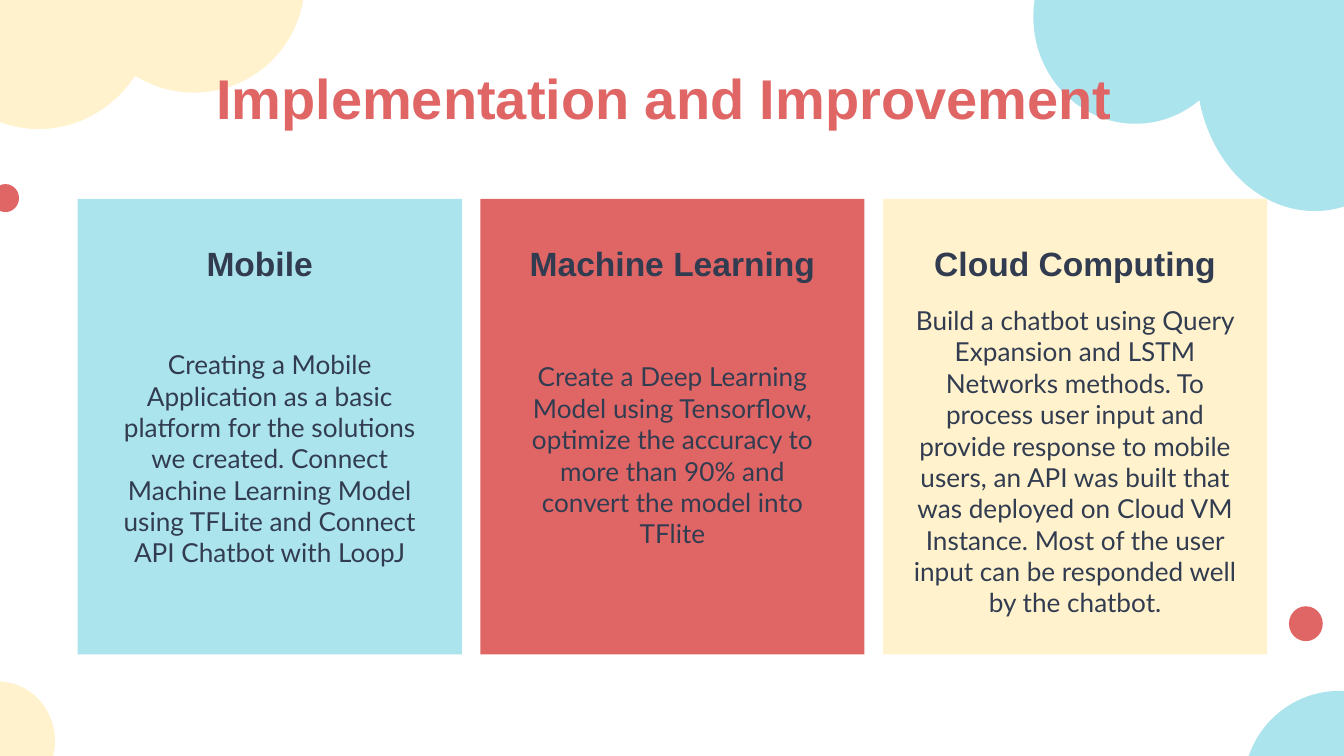
from pptx import Presentation
from pptx import util as u
from pptx.dml.color import RGBColor
from pptx.enum import shapes, text

THEME = {
    "blue": "ACE4ED", "red": "E06666", "cream": "FFF2CC", "ink": "323C50",
    "heading_font": "Arial", "body_font": "Lato",
    "title_size": 30, "heading_size": 18, "body_size": 14,
}

# Content; all lengths are in centimetres
TITLE = "Implementation and Improvement "
CARDS = [
    {"colour": "blue", "heading": "Mobile", "heading_shift": -0.19,
     "body": "Creating a Mobile Application as a basic platform for the solutions "
             "we created. Connect Machine Learning Model using TFLite and Connect "
             "API Chatbot with LoopJ",
     "body_width": 6.05, "body_top": 5.54, "body_height": 6.25},
    {"colour": "red", "heading": "Machine Learning", "heading_shift": 0,
     "body": "Create a Deep Learning Model using Tensorflow, optimize the accuracy "
             "to more than 90% and convert the model into TFlite",
     "body_width": 5.87, "body_top": 5.54, "body_height": 6.12},
    {"colour": "cream", "heading": "Cloud Computing", "heading_shift": 0,
     "body": "Build a chatbot using Query Expansion and LSTM Networks methods. To "
             "process user input and provide response to mobile users, an API was "
             "built that was deployed on Cloud VM Instance. Most of the user input "
             "can be responded well by the chatbot.",
     "body_width": 6.88, "body_top": 5.66, "body_height": 6.12},
]
BUBBLES = [  # colour, left, top, width, height
    ("blue", 22.61, -1.42, 4.47, 5.41),
    ("blue", 19.53, -1.7, 3.86, 4.04),
    ("cream", -1.5, -2.36, 4.47, 4.8),
    ("cream", 1.57, -2.44, 4.19, 4.19),
    ("red", -0.15, 3.48, 0.51, 0.53),
    ("cream", -1.14, 12.88, 2.18, 2.26),
    ("blue", 23.5, 13.06, 3.63, 3.66),
    ("red", 24.36, 11.46, 0.64, 0.66),
]

# Card grid
CARD_LEFT, CARD_TOP, CARD_WIDTH, CARD_HEIGHT = 1.47, 3.76, 7.26, 8.61
CARD_STEP = 7.61
HEADING_TOP, HEADING_WIDTH, HEADING_HEIGHT = 4.42, 6.55, 1.12


def add_plain(slide, kind, colour, *box):
    plain = slide.shapes.add_shape(kind, *map(u.Cm, box))
    plain.shadow.inherit = False
    plain.fill.solid()
    plain.fill.fore_color.rgb = RGBColor.from_string(THEME[colour])
    plain.line.fill.background()


def write(holder, words, *, font, size, colour="ink", bold=False):
    frame = holder.text_frame
    frame.word_wrap = True
    frame.auto_size = text.MSO_AUTO_SIZE.NONE
    frame.vertical_anchor = text.MSO_ANCHOR.MIDDLE
    frame.margin_left = frame.margin_right = u.Cm(0.25)
    frame.margin_top = frame.margin_bottom = u.Cm(0.25)
    line = frame.paragraphs[0]
    line.alignment = text.PP_ALIGN.CENTER
    run = line.add_run()
    run.text = words
    run.font.name = THEME[font]
    run.font.size = u.Pt(THEME[size])
    run.font.bold = bold
    run.font.color.rgb = RGBColor.from_string(THEME[colour])


def add_words(slide, words, centre, top, width, height, **style):
    box = map(u.Cm, (centre - width / 2, top, width, height))
    write(slide.shapes.add_textbox(*box), words, **style)


def main():
    deck = Presentation()
    deck.slide_width, deck.slide_height = u.Cm(25.4), u.Cm(14.29)
    slide = deck.slides.add_slide(deck.slide_layouts[5])

    # Background bubbles
    for colour, *box in BUBBLES:
        add_plain(slide, shapes.MSO_SHAPE.OVAL, colour, *box)

    # Title, brought in front of the bubbles
    title = slide.shapes.title
    title.left, title.top, title.width, title.height = map(u.Cm, (1.98, 1.24, 21.44, 1.19))
    write(title, TITLE, font="heading_font", size="title_size", colour="red", bold=True)
    title.element.getparent().append(title.element)

    # Cards
    for i, card in enumerate(CARDS):
        left = CARD_LEFT + i * CARD_STEP
        centre = left + CARD_WIDTH / 2
        add_plain(slide, shapes.MSO_SHAPE.RECTANGLE, card["colour"],
                  left, CARD_TOP, CARD_WIDTH, CARD_HEIGHT)
        add_words(slide, card["heading"], centre + card["heading_shift"],
                  HEADING_TOP, HEADING_WIDTH, HEADING_HEIGHT,
                  font="heading_font", size="heading_size", bold=True)
        add_words(slide, card["body"], centre, card["body_top"],
                  card["body_width"], card["body_height"],
                  font="body_font", size="body_size")

    deck.save("out.pptx")


if __name__ == "__main__":
    main()
